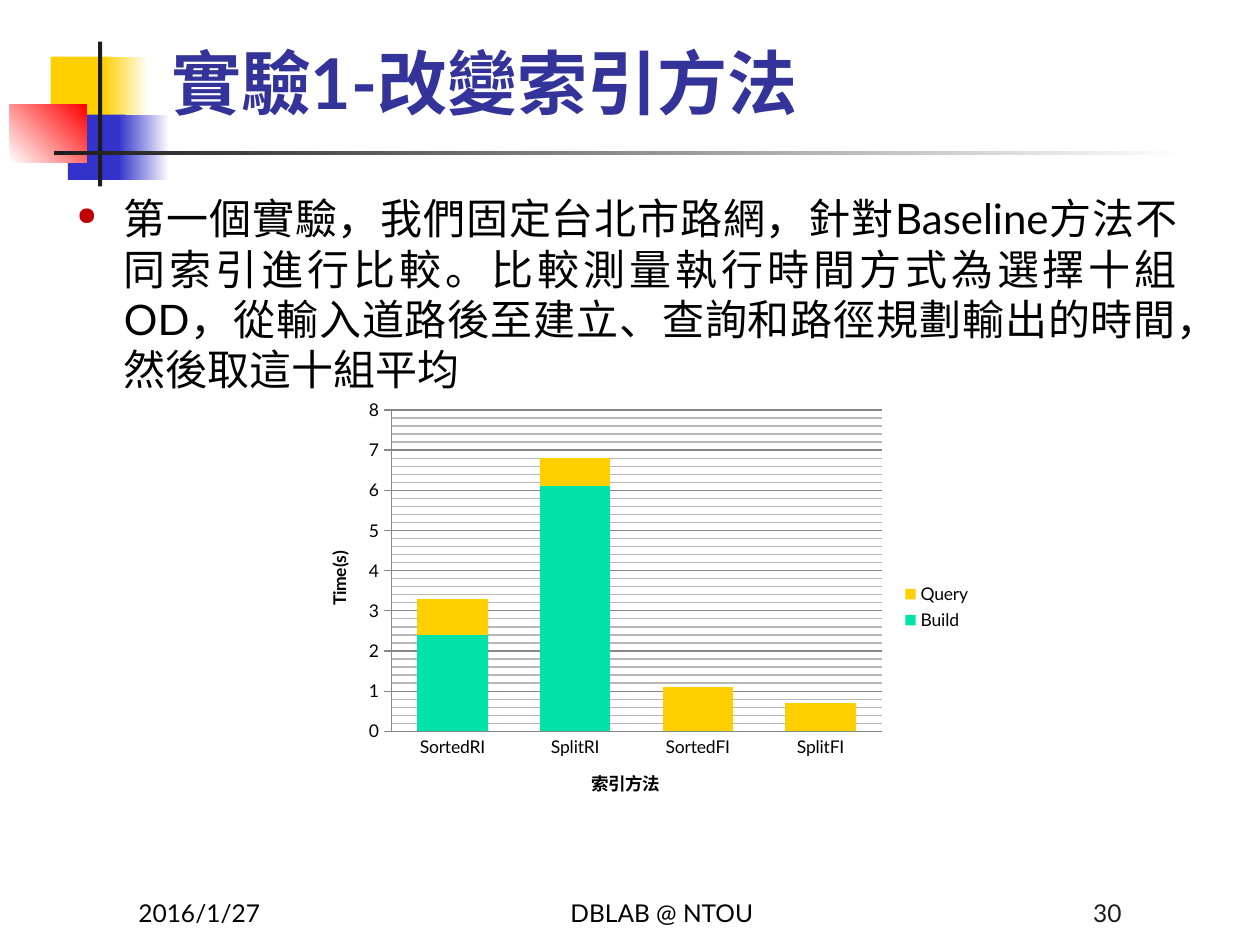
"""Build the slide on experiment 1, comparing index methods."""
from lxml.etree import SubElement
from pptx import Presentation
from pptx.chart.data import CategoryChartData
from pptx.dml.color import RGBColor
from pptx.enum.chart import XL_CHART_TYPE as ChartType, XL_LEGEND_POSITION as LegendPos
from pptx.enum.chart import XL_TICK_MARK as Tick
from pptx.enum.shapes import MSO_SHAPE as Shape
from pptx.enum.text import MSO_ANCHOR as Anchor, PP_ALIGN as Align
from pptx.oxml.ns import qn
from pptx.util import Cm, Pt

FONT = "Lato"
WHITE = RGBColor(0xFF, 0xFF, 0xFF)
BLACK = RGBColor(0, 0, 0)
DARK = RGBColor(0x1C, 0x1C, 0x1C)
YELLOW = RGBColor(0xFF, 0xCF, 0x01)
BLUE = RGBColor(0x33, 0x33, 0xCC)
RED = RGBColor(0xFF, 0, 0)
DARK_RED = RGBColor(0xC0, 0, 0)
NAVY = RGBColor(0x33, 0x33, 0x99)
GREEN = RGBColor(0, 0xE4, 0xA8)
GREY = RGBColor(0x87, 0x87, 0x87)
LIGHT_GREY = RGBColor(0xB7, 0xB7, 0xB7)

BODY = ("第一個實驗，我們固定台北市路網，針對Baseline方法不同索引進行比較。"
        "比較測量執行時間方式為選擇十組OD，從輸入道路後至建立、查詢和路徑規劃輸出的時間，"
        "然後取這十組平均")
METHODS = ("SortedRI", "SplitRI", "SortedFI", "SplitFI")
TIMES = (
    ("Build", (2.4, 6.1, 0, 0), GREEN),
    ("Query", (0.9, 0.7, 1.1, 0.7), YELLOW),
)
PLOT_LAYOUT = {"layoutTarget": "inner", "xMode": "edge", "yMode": "edge",
               "x": 0.13, "y": 0.04, "w": 0.72, "h": 0.75}


def add_block(slide, box, color, end=None, angle=0):
    """Add a borderless rectangle, solid or fading from color to end."""
    sp = slide.shapes.add_shape(Shape.RECTANGLE, *map(Cm, box))
    sp.shadow.inherit = False
    sp.line.fill.background()
    if end is None:
        sp.fill.solid()
        sp.fill.fore_color.rgb = color
    else:
        sp.fill.gradient()
        sp.fill.gradient_angle = angle
        for stop, rgb, position in zip(sp.fill.gradient_stops, (color, end), (0, 1)):
            stop.color.rgb = rgb
            stop.position = position


def add_text(slide, box, text, size, color=BLACK, align=Align.LEFT,
             anchor=Anchor.BOTTOM, bold=False):
    """Add a one-paragraph text box and return its paragraph."""
    tf = slide.shapes.add_textbox(*map(Cm, box)).text_frame
    tf.word_wrap = True
    tf.vertical_anchor = anchor
    p = tf.paragraphs[0]
    p.text = text
    p.alignment = align
    font = p.runs[0].font
    font.name, font.size, font.bold = FONT, Pt(size), bold
    font.color.rgb = color
    return p


def add_bullet(p):
    """Give a paragraph a red bullet with a hanging indent."""
    pPr = p._p.get_or_add_pPr()
    pPr.set("marL", str(Cm(0.95)))
    pPr.set("indent", str(-Cm(0.95)))
    SubElement(SubElement(pPr, qn("a:buClr")), qn("a:srgbClr"), val=str(DARK_RED))
    SubElement(pPr, qn("a:buSzPct"), val="60000")
    SubElement(pPr, qn("a:buChar"), char="●")


def style_axis(axis, title, tick):
    """Set the title, tick marks and line of an axis."""
    axis.axis_title.text_frame.text = title
    font = axis.axis_title.text_frame.paragraphs[0].runs[0].font
    font.name, font.size, font.bold = FONT, Pt(10), True
    font.color.rgb = BLACK
    axis.major_tick_mark = tick
    axis.format.line.color.rgb = GREY


def color_minor_gridlines(axis, color):
    """Colour the minor gridlines of an axis."""
    parent = axis._element.find(qn("c:minorGridlines"))
    for tag in ("c:spPr", "a:ln", "a:solidFill"):
        parent = SubElement(parent, qn(tag))
    SubElement(parent, qn("a:srgbClr"), val=str(color))


def place_plot(chart):
    """Fix the inner plot area inside the chart frame."""
    area = chart._chartSpace.chart.plotArea
    for old in area.findall(qn("c:layout")):
        area.remove(old)
    layout = SubElement(area, qn("c:layout"))
    area.insert(0, layout)
    manual = SubElement(layout, qn("c:manualLayout"))
    for tag, value in PLOT_LAYOUT.items():
        SubElement(manual, qn(f"c:{tag}"), val=str(value))


def add_time_chart(slide, box):
    """Add the stacked column chart of build and query times."""
    data = CategoryChartData()
    data.categories = METHODS
    for name, values, _ in TIMES:
        data.add_series(name, values)
    chart = slide.shapes.add_chart(ChartType.COLUMN_STACKED, *map(Cm, box), data).chart
    chart.has_title = False
    chart.font.name, chart.font.size = FONT, Pt(10)
    chart.font.color.rgb = BLACK
    chart.has_legend = True
    chart.legend.position = LegendPos.RIGHT
    chart.legend.include_in_layout = False
    plot = chart.plots[0]
    plot.gap_width, plot.overlap = 75, 100
    plot.vary_by_categories = False
    for series, (_, _, color) in zip(plot.series, TIMES):
        series.format.fill.solid()
        series.format.fill.fore_color.rgb = color
    style_axis(chart.category_axis, "索引方法", Tick.NONE)
    axis = chart.value_axis
    style_axis(axis, "Time(s)", Tick.OUTSIDE)
    axis.minimum_scale, axis.maximum_scale = 0, 8
    axis.major_unit, axis.minor_unit = 1, 0.2
    axis.has_major_gridlines = axis.has_minor_gridlines = True
    axis.major_gridlines.format.line.color.rgb = GREY
    color_minor_gridlines(axis, LIGHT_GREY)
    place_plot(chart)


def add_decoration(slide):
    """Add the coloured blocks and the two crossing rules."""
    add_block(slide, (1.02, 1.14, 1.22, 1.32), YELLOW)
    add_block(slide, (2.08, 1.14, 0.91, 1.32), YELLOW, WHITE)
    add_block(slide, (1.37, 2.31, 1.17, 1.32), BLUE)
    add_block(slide, (2.39, 2.31, 1.02, 1.32), BLUE, WHITE)
    add_block(slide, (0.2, 2.11, 1.55, 1.17), WHITE, RED, 45)
    add_block(slide, (1.98, 0.84, 0.08, 2.92), DARK)
    add_block(slide, (1.09, 3.05, 22.86, 0.08), DARK, WHITE)


def main():
    """Build and save the slide."""
    prs = Presentation()
    prs.slide_width, prs.slide_height = Cm(25.4), Cm(19.05)
    slide = prs.slides.add_slide(prs.slide_layouts[6])
    add_decoration(slide)
    add_text(slide, (3.2, 0.43, 21.64, 2.18), "實驗1-改變索引方法", 40, NAVY, bold=True)
    add_bullet(add_text(slide, (1.3, 3.76, 22.68, 13.77), BODY, 24,
                        align=Align.JUSTIFY, anchor=Anchor.TOP))
    add_time_chart(slide, (6.1, 7.92, 13.74, 8.64))
    add_text(slide, (2.54, 17.55, 5.28, 1.27), "2016/1/27", 14)
    add_text(slide, (9.32, 17.55, 8.05, 1.27), "DBLAB @ NTOU", 14, align=Align.CENTER)
    add_text(slide, (17.58, 17.55, 5.28, 1.27), "30", 14, DARK, Align.RIGHT)
    prs.save("out.pptx")


if __name__ == "__main__":
    main()
